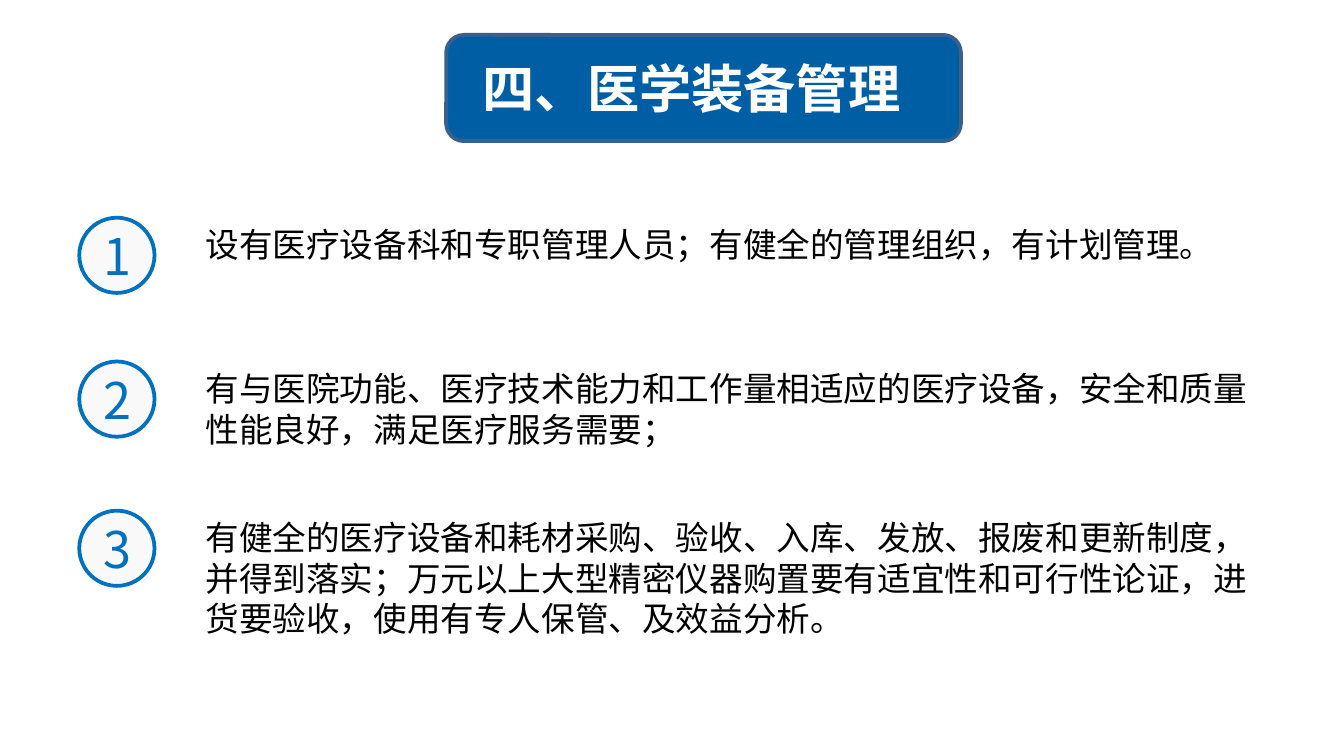
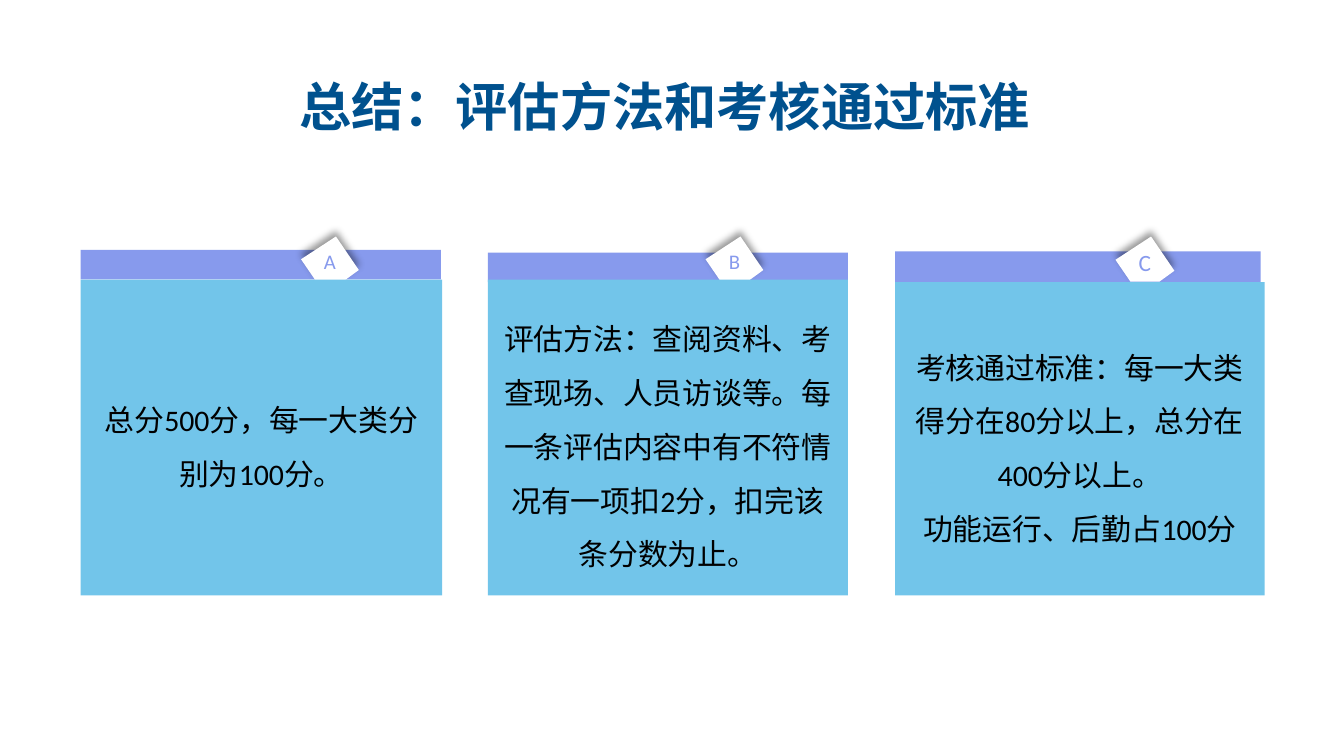
"""Builds two slides on medical equipment management and assessment standards."""
from dataclasses import dataclass

from lxml.etree import SubElement
from pptx import Presentation
from pptx.dml.color import RGBColor
from pptx.enum.shapes import MSO_SHAPE
from pptx.enum.text import MSO_ANCHOR, PP_ALIGN
from pptx.oxml.ns import qn
from pptx.util import Inches, Pt


@dataclass(frozen=True)
class Theme:
    latin: str = "Calibri"
    cjk: str = "Noto Sans CJK SC"
    white: str = "FFFFFF"
    black: str = "000000"
    banner: str = "005EA4"
    banner_line: str = "3A5F8C"
    title: str = "00518E"
    ring: str = "0070C0"
    ring_fill: str = "F9F9F9"
    strip: str = "879AED"
    card: str = "72C5EA"
    title_size: float = 28
    number_size: float = 27
    body_size: float = 18
    card_size: float = 16


T = Theme()

BANNER = "四、医学装备管理"
POINTS = [
    (1.62, 0.4, "设有医疗设备科和专职管理人员；有健全的管理组织，有计划管理。"),
    (2.69, 0.71, "有与医院功能、医疗技术能力和工作量相适应的医疗设备，安全和质量性能良好，满足医疗服务需要；"),
    (3.8, 1.01, "有健全的医疗设备和耗材采购、验收、入库、发放、报废和更新制度，并得到落实；"
                "万元以上大型精密仪器购置要有适宜性和可行性论证，进货要验收，使用有专人保管、及效益分析。"),
]

SUMMARY = "总结：评估方法和考核通过标准"
CARDS = [
    dict(tag="A", size=11.1, tag_x=2.24, scale=1, strip=(1.86, 2.68, 0.22), top=2.08, width=2.69,
         text="总分500分，每一大类分别为100分。"),
    dict(tag="B", size=11.1, tag_x=5.25, scale=1, strip=(1.88, 2.68, 0.22), top=2.08, width=2.68,
         text="评估方法：查阅资料、考查现场、人员访谈等。每一条评估内容中有不符情况有一项扣2分，扣完该条分数为止。"),
    dict(tag="C", size=12.5, tag_x=8.3, scale=1.02, strip=(1.87, 2.72, 0.23), top=2.1, width=2.75,
         text="考核通过标准：每一大类得分在80分以上，总分在400分以上。\n功能运行、后勤占100分"),
]
CARD_LEFT, CARD_STEP, CARD_BOTTOM, TAG_TOP = 0.6, 3.03, 4.43, 1.76
TAG_OUTLINE = [(0.26, 0), (0.43, 0.25), (0.32, 0.33), (0.11, 0.33), (0, 0.17)]


def rgb(color):
    return RGBColor.from_string(color)


def write(s, text, size, color, font=T.latin, bold=False,
          align=PP_ALIGN.CENTER, anchor=MSO_ANCHOR.MIDDLE, spacing=None):
    tf = s.text_frame
    tf.word_wrap = True
    tf.vertical_anchor = anchor
    tf.text = text
    for p in tf.paragraphs:
        p.alignment = align
        p.line_spacing = spacing
        for r in p.runs:
            r.font.size = Pt(size)
            r.font.name = font
            r.font.bold = bold
            r.font.color.rgb = rgb(color)
            SubElement(r.font._element, qn("a:ea"), typeface=T.cjk)


def paint(s, fill, line=None):
    s.shadow.inherit = False
    s.fill.solid()
    s.fill.fore_color.rgb = rgb(fill)
    if line:
        s.line.color.rgb = rgb(line)
        s.line.width = Pt(2)
    else:
        s.line.fill.background()
    return s


def block(shapes, kind, box, fill, line=None):
    return paint(shapes.add_shape(kind, *map(Inches, box)), fill, line)


def label(shapes, box, text, size, color, **style):
    s = shapes.add_textbox(*map(Inches, box))
    write(s, text, size, color, anchor=MSO_ANCHOR.TOP, **style)


def cast_shadow(s):
    effects = s._element.spPr.find(qn("a:effectLst"))
    shadow = SubElement(effects, qn("a:outerShdw"), blurRad=str(Pt(4)), dist=str(Pt(3)),
                        dir="16200000", rotWithShape="0")
    color = SubElement(shadow, qn("a:srgbClr"), val=T.black)
    SubElement(color, qn("a:alpha"), val="40000")


def add_tag(shapes, card):
    points = [(Inches(card["tag_x"] + x * card["scale"]), Inches(TAG_TOP + y * card["scale"]))
              for x, y in TAG_OUTLINE]
    builder = shapes.build_freeform(*points[0])
    builder.add_line_segments(points[1:], close=True)
    s = paint(builder.convert_to_shape(), T.white)
    cast_shadow(s)
    write(s, card["tag"], card["size"], T.strip)
    s.text_frame.margin_top = Inches(0.09)


def add_card(slide, i, card):
    shapes = slide.shapes.add_group_shape().shapes
    left = CARD_LEFT + i * CARD_STEP
    top = card["top"]
    block(shapes, MSO_SHAPE.RECTANGLE, (left, *card["strip"]), T.strip)
    add_tag(shapes, card)
    body = block(shapes, MSO_SHAPE.RECTANGLE, (left, top, card["width"], CARD_BOTTOM - top), T.card)
    write(body, card["text"], T.card_size, T.black, spacing=1.5)


def equipment_slide(slide):
    shapes = slide.shapes
    block(shapes, MSO_SHAPE.ROUNDED_RECTANGLE, (3.32, 0.26, 3.83, 0.79), T.banner, T.banner_line)
    label(shapes, (3.12, 0.37, 4.05, 0.57), BANNER, T.title_size, T.white, font=T.cjk, bold=True)
    for number, (top, height, text) in enumerate(POINTS, 1):
        ring = block(shapes, MSO_SHAPE.OVAL, (0.59, top, 0.56, 0.56), T.ring_fill, T.ring)
        write(ring, str(number), T.number_size, T.ring, font=T.cjk)
        label(shapes, (1.43, top, 8.01, height), text, T.body_size, T.black, align=PP_ALIGN.LEFT)


def summary_slide(slide):
    for i, card in enumerate(CARDS):
        add_card(slide, i, card)
    label(slide.shapes, (1.43, 0.5, 7.03, 0.57), SUMMARY, T.title_size, T.title, bold=True)


def main():
    prs = Presentation()
    prs.slide_width = Inches(10)
    prs.slide_height = Inches(10 * 9 / 16)
    for build in (equipment_slide, summary_slide):
        build(prs.slides.add_slide(prs.slide_layouts[6]))
    prs.save("out.pptx")


if __name__ == "__main__":
    main()
